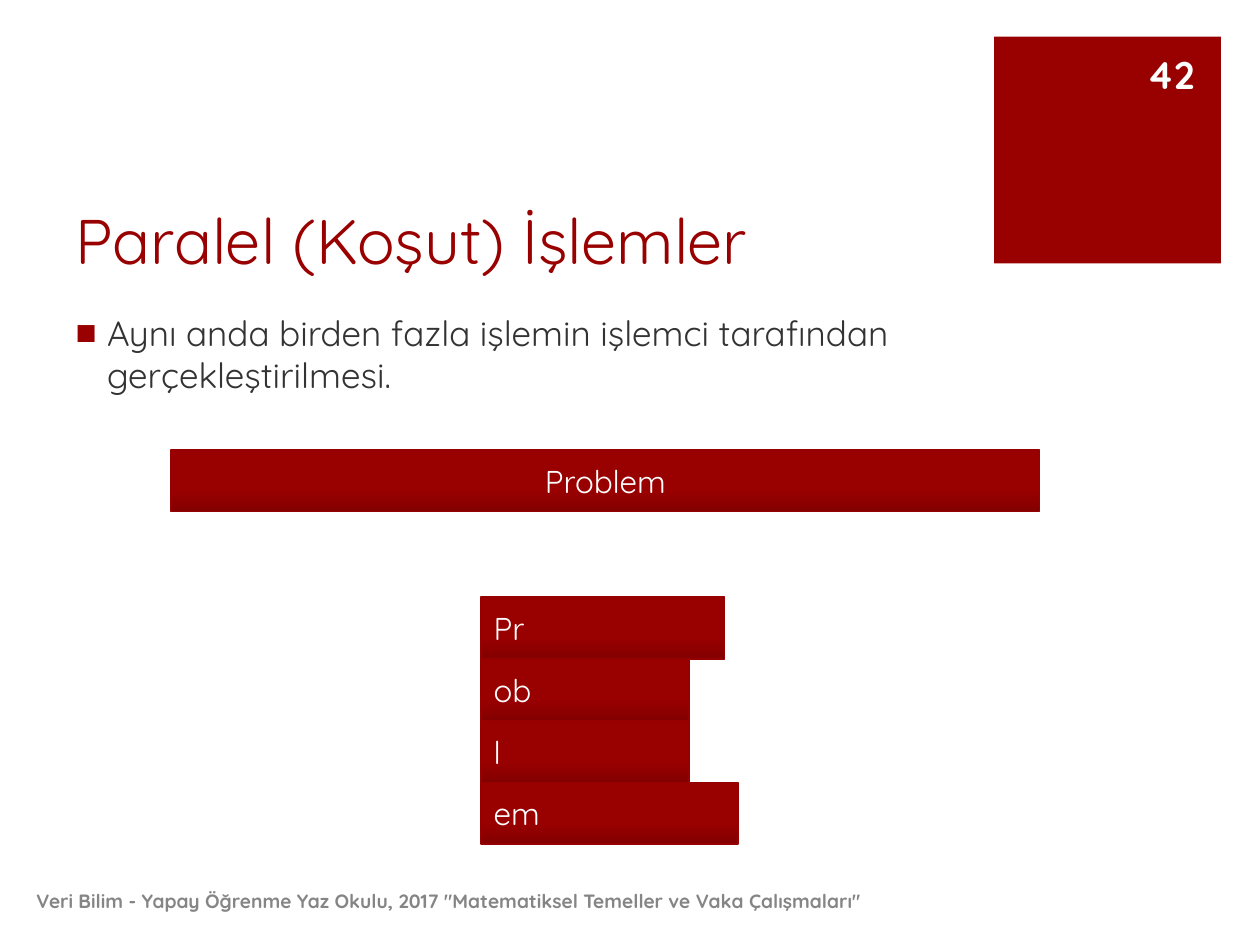
"""Build the slide on parallel operations."""
from dataclasses import dataclass

import pptx
import pptx.dml.color
import pptx.enum.shapes
import pptx.enum.text
import pptx.oxml
import pptx.oxml.ns
import pptx.util
from pptx.dml.color import RGBColor
from pptx.enum.text import MSO_ANCHOR, PP_ALIGN
from pptx.util import Inches

FONT = "Quicksand"
RED = RGBColor(0x99, 0x00, 0x00)
DARK_RED = RGBColor(0x83, 0x00, 0x00)
EDGE_RED = RGBColor(0x96, 0x00, 0x00)
TEXT_GRAY = RGBColor(0x33, 0x33, 0x33)
FOOTER_GRAY = RGBColor(0x85, 0x85, 0x85)
WHITE = RGBColor(0xFF, 0xFF, 0xFF)

BAR_HEIGHT = 0.49
PARTS_LEFT = 3.82
PARTS_TOP = 4.74


@dataclass
class Bar:
    left: float
    top: float
    width: float
    text: str
    align: PP_ALIGN = PP_ALIGN.LEFT


BARS = [Bar(1.36, 3.57, 6.89, "Problem", PP_ALIGN.CENTER)] + [
    Bar(PARTS_LEFT, PARTS_TOP + i * BAR_HEIGHT, width, text)
    for i, (text, width) in enumerate(
        [("Pr", 1.93), ("ob", 1.65), ("l", 1.65), ("em", 2.04)])
]


def place(sp, left: float, top: float, width: float, height: float) -> None:
    """Move and size a shape in inches."""
    sp.left, sp.top = Inches(left), Inches(top)
    sp.width, sp.height = Inches(width), Inches(height)


def write(sp, text: str, size: float, color: RGBColor, anchor: MSO_ANCHOR,
          align: PP_ALIGN = PP_ALIGN.LEFT, bold: bool = False):
    """Write one formatted paragraph and return it."""
    tf = sp.text_frame
    tf.word_wrap = True
    tf.auto_size = pptx.enum.text.MSO_AUTO_SIZE.NONE
    tf.vertical_anchor = anchor
    p = tf.paragraphs[0]
    p.alignment = align
    p.space_before = pptx.util.Pt(0)
    r = p.add_run()
    r.text = text
    r.font.name = FONT
    r.font.size = pptx.util.Pt(size)
    r.font.bold = bold
    r.font.color.rgb = color
    return p


def add_bullet(p) -> None:
    """Give a paragraph a hanging red square bullet."""
    pPr = p._p.get_or_add_pPr()
    pPr.set("marL", str(Inches(0.25)))
    pPr.set("indent", str(-Inches(0.25)))
    ns = pptx.oxml.ns.nsdecls("a")
    for xml in (f'<a:buClr {ns}><a:srgbClr val="{RED}"/></a:buClr>',
                f'<a:buChar {ns} char="■"/>'):
        pPr.append(pptx.oxml.parse_xml(xml))


def add_rectangle(s, left: float, top: float, width: float, height: float):
    """Add a rectangle without shadow."""
    sp = s.shapes.add_shape(
        pptx.enum.shapes.MSO_SHAPE.RECTANGLE,
        Inches(left), Inches(top), Inches(width), Inches(height))
    sp.shadow.inherit = False
    return sp


def add_bar(s, bar: Bar) -> None:
    """Add a labelled bar that darkens at its foot."""
    sp = add_rectangle(s, bar.left, bar.top, bar.width, BAR_HEIGHT)
    sp.fill.gradient()
    sp.fill.gradient_angle = 90
    for stop, (position, color) in zip(
            sp.fill.gradient_stops, [(0, DARK_RED), (0.35, RED)]):
        stop.position = position
        stop.color.rgb = color
    sp.line.color.rgb = EDGE_RED
    sp.line.width = pptx.util.Pt(1)
    write(sp, bar.text, 18, WHITE, MSO_ANCHOR.MIDDLE, bar.align)


def add_label(s, left: float, top: float, width: float, text: str, size: float,
              color: RGBColor, align: PP_ALIGN) -> None:
    """Add a bold one-line text box."""
    sp = s.shapes.add_textbox(
        Inches(left), Inches(top), Inches(width), Inches(0.4))
    write(sp, text, size, color, MSO_ANCHOR.MIDDLE, align, bold=True)


def main() -> None:
    """Build and save the presentation."""
    prs = pptx.Presentation()
    prs.slide_width, prs.slide_height = Inches(10), Inches(7.5)
    s = prs.slides.add_slide(prs.slide_layouts[1])

    title, body = s.shapes.title, s.placeholders[1]
    place(title, 0.5, 1, 7.12, 1.25)
    write(title, "Paralel (Koşut) İşlemler", 36, RED, MSO_ANCHOR.BOTTOM)
    place(body, 0.5, 2.42, 7.12, 4.28)
    add_bullet(write(
        body,
        "Aynı anda birden fazla işlemin işlemci tarafından gerçekleştirilmesi.",
        20, TEXT_GRAY, MSO_ANCHOR.TOP))

    corner = add_rectangle(s, 7.89, 0.29, 1.8, 1.8)
    corner.fill.solid()
    corner.fill.fore_color.rgb = RED
    corner.line.fill.background()

    add_label(
        s, 0.19, 6.95, 7.19,
        'Veri Bilim - Yapay Öğrenme Yaz Okulu, 2017 '
        '"Matematiksel Temeller ve Vaka Çalışmaları"',
        11, FOOTER_GRAY, PP_ALIGN.LEFT)
    for bar in BARS:
        add_bar(s, bar)
    add_label(s, 8.61, 0.39, 0.97, "42", 22, WHITE, PP_ALIGN.RIGHT)

    prs.save("out.pptx")


if __name__ == "__main__":
    main()
